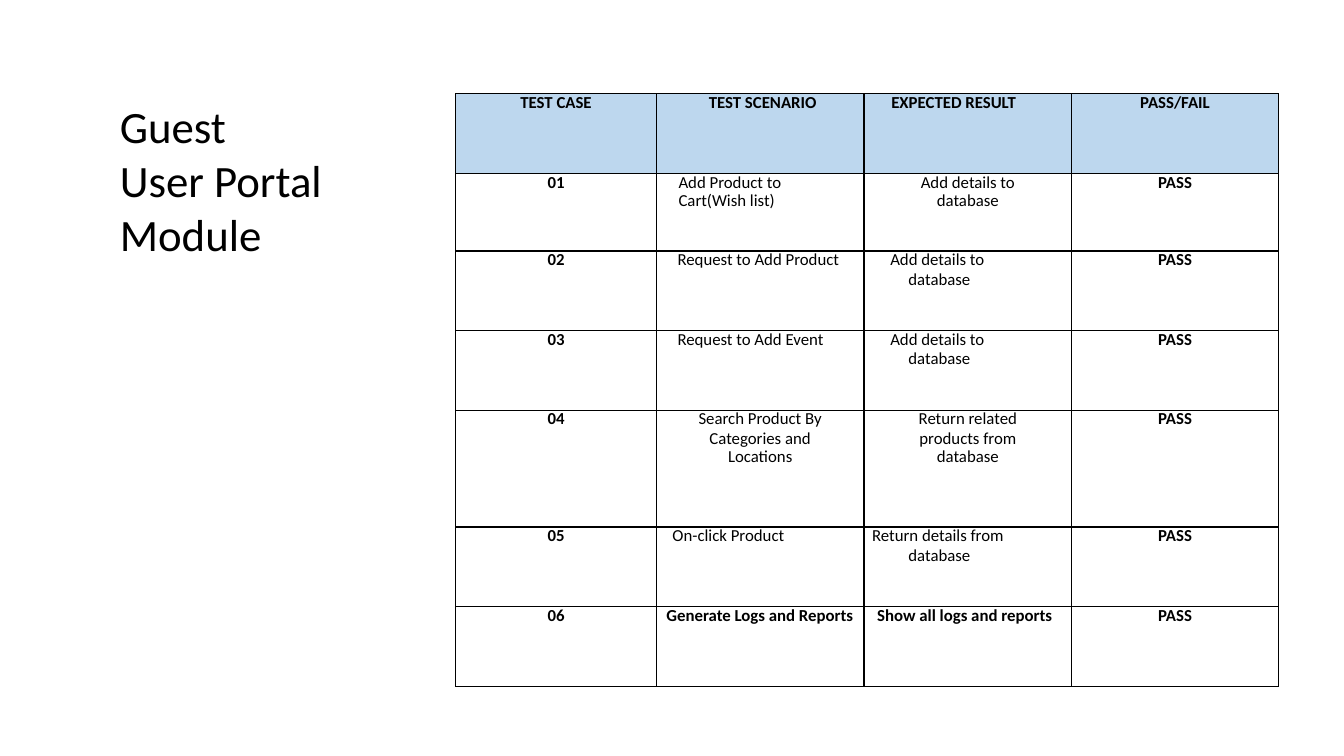
from lxml import etree
from pptx import Presentation
from pptx import util as u
from pptx.dml.color import RGBColor
from pptx.enum import text
from pptx.oxml.ns import qn

BLACK, WHITE, HEADER_BLUE = "000000", "FFFFFF", "BDD7EE"
COLUMN_WIDTHS = [1.99, 2.06, 2.06, 2.05]
ROW_HEIGHTS = [0.79, 0.77, 0.79, 0.79, 1.16, 0.79, 0.79]
FIRST_LINE, NEXT_LINE = 13.8, 12.8
NUMBER_MARGIN, STATUS_MARGIN = 0.23, 0.28


def centred(margin):
    return dict(left=margin, right=margin, align=text.PP_ALIGN.CENTER)


def indented(left, first=0, right=0):
    return dict(left=left, first=first, right=right)


DATABASE = (["Add details to database"], indented(0.44, -0.18, 0.44))

# Scenario and expected result of each test: paragraphs and their layout
TESTS = [
    ((["Add Product to", "Cart(Wish list)"], indented(0.22)),
     (["Add details to", "database"], centred(0.23))),
    ((["Request to Add Product"], indented(0.47, -0.26)), DATABASE),
    ((["Request to Add Event"], indented(0.53, -0.32)), DATABASE),
    ((["Search Product By Categories and", "Locations"], centred(0.2)),
     (["Return related products from", "database"], centred(0.3))),
    ((["On-click Product"], indented(0.16)),
     (["Return details from database"], indented(0.44, -0.36, 0.44))),
    ((["Generate Logs and Reports"], indented(0.47, -0.37)),
     (["Show all logs and reports"], indented(0.49, -0.36))),
]


def colour(value):
    return RGBColor.from_string(value)


def write_text(frame, lines, size=12, bold=False, left=0, first=0, right=0,
               align=text.PP_ALIGN.LEFT, spacing=None):
    frame.word_wrap = True
    for index, line in enumerate(lines):
        paragraph = frame.paragraphs[0] if index == 0 else frame.add_paragraph()
        paragraph.alignment = align
        properties = paragraph._p.get_or_add_pPr()
        for name, length in (("marL", left), ("marR", right), ("indent", first)):
            properties.set(name, str(int(u.Inches(length))))
        if spacing:
            paragraph.line_spacing = u.Pt(spacing[min(index, len(spacing) - 1)])
        run = paragraph.add_run()
        run.text = line
        run.font.name = "Calibri"
        run.font.size = u.Pt(size)
        run.font.bold = bold
        run.font.color.rgb = colour(BLACK)


def add_borders(cell):
    properties = cell._tc.get_or_add_tcPr()
    for side in ("lnL", "lnR", "lnT", "lnB"):
        line = etree.SubElement(properties, qn("a:" + side), w=str(int(u.Pt(1))))
        fill = etree.SubElement(line, qn("a:solidFill"))
        etree.SubElement(fill, qn("a:srgbClr"), val=BLACK)


def fill_cell(cell, lines, layout, bold, fill):
    cell.margin_left = cell.margin_right = 0
    cell.margin_top = cell.margin_bottom = 0
    add_borders(cell)
    cell.fill.solid()
    cell.fill.fore_color.rgb = colour(fill)
    write_text(cell.text_frame, lines, bold=bold,
               spacing=(FIRST_LINE, NEXT_LINE), **layout)


def add_title(slide):
    box = slide.shapes.add_textbox(u.Inches(1.09), u.Inches(0.93),
                                   u.Inches(3.23), u.Inches(2.02))
    write_text(box.text_frame, ["Guest", "User Portal Module"], size=32)


def add_test_table(slide):
    frame = slide.shapes.add_table(
        len(ROW_HEIGHTS), len(COLUMN_WIDTHS), u.Inches(4.52), u.Inches(0.93),
        u.Inches(sum(COLUMN_WIDTHS)), u.Inches(sum(ROW_HEIGHTS)))
    table = frame.table
    table.first_row = table.horz_banding = False
    for column, width in zip(table.columns, COLUMN_WIDTHS):
        column.width = u.Inches(width)
    for row, height in zip(table.rows, ROW_HEIGHTS):
        row.height = u.Inches(height)

    # Header row, then one row for each test
    number, status = centred(NUMBER_MARGIN), centred(STATUS_MARGIN)
    rows = [[(["TEST CASE"], number),
             (["TEST SCENARIO"], indented(0.29, 0.23)),
             (["EXPECTED RESULT"], indented(0.39, -0.12)),
             (["PASS/FAIL"], status)]]
    for index, (scenario, result) in enumerate(TESTS, start=1):
        rows.append([([f"{index:02d}"], number), scenario, result,
                     (["PASS"], status)])

    for row_index, row in enumerate(rows):
        fill = WHITE if row_index else HEADER_BLUE
        bold_row = row_index in (0, len(rows) - 1)
        for column_index, (lines, layout) in enumerate(row):
            bold = bold_row or column_index in (0, 3)
            fill_cell(table.cell(row_index, column_index), lines, layout, bold, fill)


def main():
    presentation = Presentation()
    presentation.slide_width = u.Inches(13.33)
    presentation.slide_height = u.Inches(7.5)
    slide = presentation.slides.add_slide(presentation.slide_layouts[6])
    add_test_table(slide)
    add_title(slide)
    presentation.save("out.pptx")


if __name__ == "__main__":
    main()
